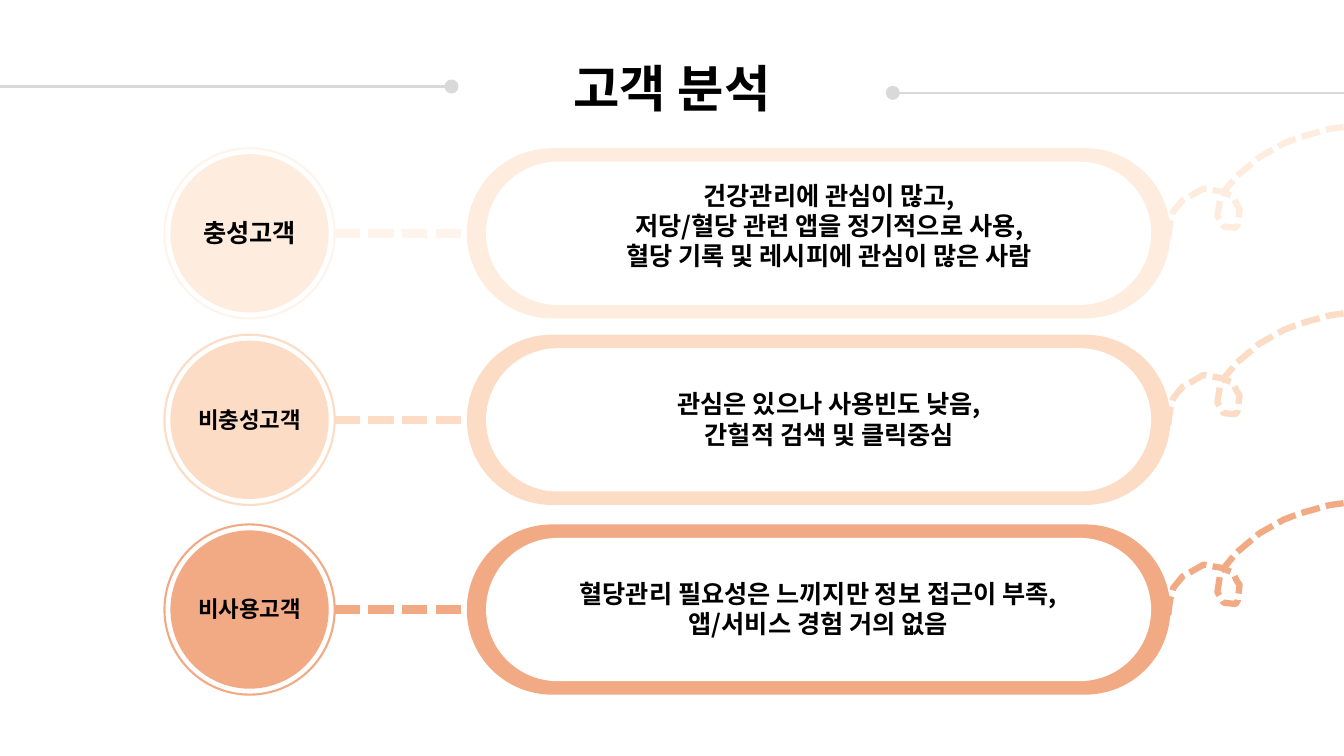
"""Build the customer analysis slide: three customer groups with their traits."""
from pptx import Presentation
from pptx import util as u
from pptx.dml.color import RGBColor
from pptx.enum import dml, shapes, text
from pptx.oxml.xmlchemy import OxmlElement

FONT = "Noto Sans CJK KR"
BLACK = RGBColor(0x00, 0x00, 0x00)
WHITE = RGBColor(0xFF, 0xFF, 0xFF)
GREY = RGBColor(0xD9, 0xD9, 0xD9)
PALE = RGBColor(0xFE, 0xF4, 0xEC)
CREAM = RGBColor(0xFE, 0xEC, 0xDE)
PEACH = RGBColor(0xFC, 0xDC, 0xC4)
ORANGE = RGBColor(0xF2, 0xAA, 0x84)

WIDTH, HEIGHT = 33.87, 19.05
CIRCLE_X, PILL_X, CURL_X = 6.29, 20.63, 29.44
RING, DISC = 4.29, 3.99
PILL_WIDTH, INNER_WIDTH, INNER_HEIGHT = 17.73, 16.76, 3.61

CURL = [
    (0, 0.14), (0.05, -0.25), (0.13, -0.55), (0.36, -0.83), (0.89, -1.13),
    (1.35, -1.05), (1.63, -0.93), (1.73, -0.72), (1.8, -0.62), (1.75, -0.22),
    (1.7, -0.14), (1.4, -0.17), (1.24, -0.44), (1.32, -0.95), (1.73, -1.44),
    (2.3, -1.92), (2.92, -2.27), (3.35, -2.43), (4.06, -2.63), (4.42, -2.68),
]

ROWS = [
    dict(y=5.88, color=CREAM, trim=PALE, label="충성고객", size=18, text_x=20.9, text_y=5.68,
         lines=["건강관리에 관심이 많고,", "저당/혈당 관련 앱을 정기적으로 사용,",
                "혈당 기록 및 레시피에 관심이 많은 사람"]),
    dict(y=10.58, color=PEACH, trim=PEACH, label="비충성고객", size=16, text_x=20.9, text_y=10.56,
         lines=["관심은 있으나 사용빈도 낮음,", "간헐적 검색 및 클릭중심"]),
    dict(y=15.36, color=ORANGE, trim=ORANGE, label="비사용고객", size=16, text_x=20.62, text_y=15.33,
         lines=["혈당관리 필요성은 느끼지만 정보 접근이 부족,", "앱/서비스 경험 거의 없음"]),
]


def apply(target, values):
    for name, value in values.items():
        setattr(target, name, value)


def write(box, lines, size):
    frame = box.text_frame
    apply(frame, dict(word_wrap=True, auto_size=text.MSO_AUTO_SIZE.NONE,
                      vertical_anchor=text.MSO_ANCHOR.MIDDLE,
                      margin_top=u.Cm(0.13), margin_bottom=u.Cm(0.13)))
    for index, line in enumerate(lines):
        para = frame.add_paragraph() if index else frame.paragraphs[0]
        apply(para, dict(alignment=text.PP_ALIGN.CENTER, line_spacing=u.Pt(size * 1.2),
                         space_before=u.Pt(0)))
        span = para.add_run()
        span.text = line
        apply(span.font, dict(name=FONT, size=u.Pt(size), bold=True))
        span.font.color.rgb = BLACK
        east_asian = OxmlElement("a:ea")
        east_asian.set("typeface", FONT)
        span.font._element.append(east_asian)


def add_text(page, x, y, width, height, lines, size):
    box = page.shapes.add_textbox(u.Cm(x - width / 2), u.Cm(y - height / 2), u.Cm(width), u.Cm(height))
    write(box, lines, size)


def add_centred(page, kind, x, y, width, height, fill=None, line=None):
    shape = page.shapes.add_shape(kind, u.Cm(x - width / 2), u.Cm(y - height / 2), u.Cm(width), u.Cm(height))
    shape.shadow.inherit = False
    if fill is None:
        shape.fill.background()
    else:
        shape.fill.solid()
        shape.fill.fore_color.rgb = fill
    if line is None:
        shape.line.fill.background()
    else:
        shape.line.color.rgb = line
        shape.line.width = u.Pt(1.5)
    return shape


def add_circle(page, x, y, size, fill=None, line=None):
    add_centred(page, shapes.MSO_SHAPE.OVAL, x, y, size, size, fill, line)


def add_pill(page, x, y, width, height, fill):
    pill = add_centred(page, shapes.MSO_SHAPE.ROUNDED_RECTANGLE, x, y, width, height, fill)
    pill.adjustments[0] = 0.5


def add_line(page, start, end, y, color, width, dash=None):
    line = page.shapes.add_connector(shapes.MSO_CONNECTOR.STRAIGHT, u.Cm(start), u.Cm(y), u.Cm(end), u.Cm(y))
    line.line.color.rgb = color
    apply(line.line, dict(width=u.Pt(width), dash_style=dash))
    line._element.spPr.append(OxmlElement("a:effectLst"))


def add_curl(page, y, color):
    points = [(u.Cm(CURL_X + dx), u.Cm(y + dy)) for dx, dy in CURL]
    builder = page.shapes.build_freeform(*points[0])
    builder.add_line_segments(points[1:], close=False)
    curl = builder.convert_to_shape()
    curl.shadow.inherit = False
    curl.fill.background()
    curl.line.color.rgb = color
    apply(curl.line, dict(width=u.Pt(4.5), dash_style=dml.MSO_LINE.SQUARE_DOT))


def add_title(page):
    title = page.shapes.title
    apply(title, dict(left=u.Cm(12.45), top=u.Cm(1.3), width=u.Cm(8.97), height=u.Cm(1.8)))
    write(title, ["고객 분석"], 36)
    for x, y, edge in [(11.38, 2.18, 0), (22.5, 2.34, WIDTH)]:
        add_circle(page, x, y, 0.3, GREY, GREY)
        add_line(page, x, edge, y, GREY, 1.5)


def add_row(page, row):
    y, color = row["y"], row["color"]
    add_circle(page, CIRCLE_X, y, RING, line=row["trim"])
    add_circle(page, CIRCLE_X, y, DISC, color)
    add_pill(page, PILL_X, y, PILL_WIDTH, RING, color)
    add_pill(page, PILL_X, y, INNER_WIDTH, INNER_HEIGHT, WHITE)
    add_line(page, CIRCLE_X + RING / 2, PILL_X - PILL_WIDTH / 2, y, row["trim"], 6, dml.MSO_LINE.SQUARE_DOT)
    add_text(page, CIRCLE_X, y - 0.02, 3.35, 1, [row["label"]], row["size"])
    add_text(page, row["text_x"], row["text_y"], 14.02, 0.26 + 0.76 * len(row["lines"]), row["lines"], 18)
    add_curl(page, y, color)


def main():
    deck = Presentation()
    apply(deck, dict(slide_width=u.Cm(WIDTH), slide_height=u.Cm(HEIGHT)))
    page = deck.slides.add_slide(deck.slide_layouts[5])
    add_title(page)
    for row in ROWS:
        add_row(page, row)
    deck.save("out.pptx")


if __name__ == "__main__":
    main()
